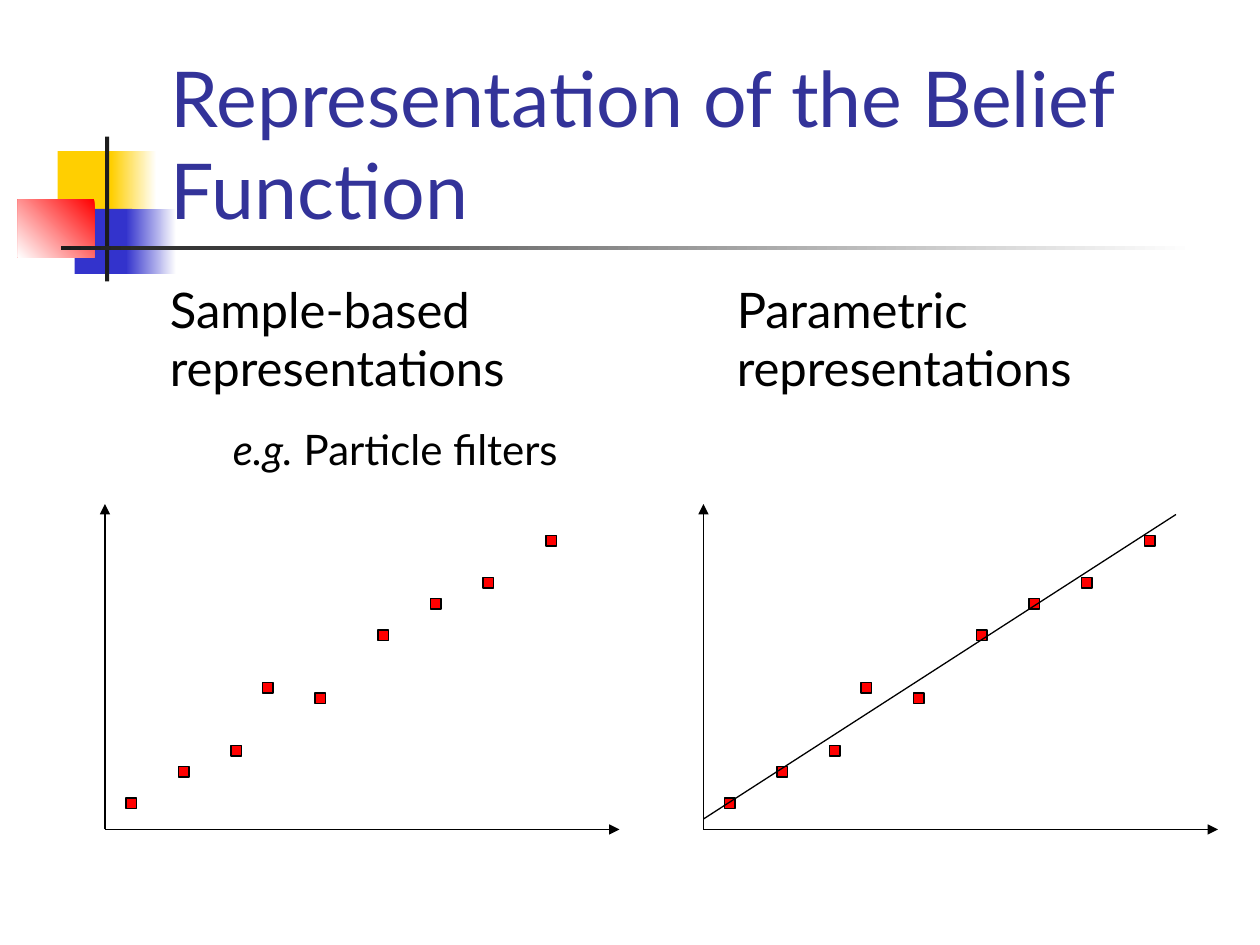
from lxml import etree
from pptx import Presentation
from pptx.dml.color import RGBColor
from pptx.enum.shapes import MSO_CONNECTOR, MSO_SHAPE
from pptx.enum.text import MSO_ANCHOR, MSO_AUTO_SIZE
from pptx.oxml.ns import qn
from pptx.util import Pt

PX = 7620  # 120 px to the inch
RECTANGLE = MSO_SHAPE.RECTANGLE
STRAIGHT = MSO_CONNECTOR.STRAIGHT
TOP, BOTTOM = MSO_ANCHOR.TOP, MSO_ANCHOR.BOTTOM
FIT_SHAPE, FIT_NONE = MSO_AUTO_SIZE.SHAPE_TO_FIT_TEXT, MSO_AUTO_SIZE.NONE
FONT = "Lato"
COLORS = {
    "white": "FFFFFF", "black": "000000", "ink": "1C1C1C", "title": "333399",
    "yellow": "FFCF01", "blue": "3333CC", "red": "FF0000",
}
SAMPLE_SIZE = 10
SAMPLES = [(20, 280), (70, 250), (120, 230), (150, 170), (200, 180),
           (260, 120), (310, 90), (360, 70), (420, 30)]


def rgb(name):
    return RGBColor.from_string(COLORS[name])


def emu(*lengths):
    return [length * PX for length in lengths]


def add_rectangle(shapes, box, colors, angle=180, outline=None):
    """One color gives a solid fill, two give a gradient."""
    shape = shapes.add_shape(RECTANGLE, *emu(*box))
    shape.shadow.inherit = False
    if len(colors) == 1:
        shape.fill.solid()
        shape.fill.fore_color.rgb = rgb(colors[0])
    else:
        shape.fill.gradient()
        shape.fill.gradient_angle = angle
        for stop, color in zip(shape.fill.gradient_stops, colors):
            stop.color.rgb = rgb(color)
    if outline:
        shape.line.color.rgb = rgb(outline)
        shape.line.width = Pt(0.75)
    else:
        shape.line.fill.background()


def add_line(shapes, start, end, arrow=False):
    connector = shapes.add_connector(STRAIGHT, *emu(*start, *end))
    connector.line.color.rgb = rgb("black")
    connector.line.width = Pt(0.75)
    if arrow:
        etree.SubElement(connector.line._get_or_add_ln(), qn("a:tailEnd"), type="triangle")
    etree.SubElement(connector._element.spPr, qn("a:effectLst"))


def add_text(slide, box, paragraphs, color="black", anchor=TOP, fit=FIT_SHAPE):
    """Each paragraph is (size, left indent, space before, [(text, italic), ...])."""
    frame = slide.shapes.add_textbox(*emu(*box)).text_frame
    frame_format = {"word_wrap": True, "auto_size": fit, "vertical_anchor": anchor}
    for name, value in frame_format.items():
        setattr(frame, name, value)
    for index, (size, indent, space, runs) in enumerate(paragraphs):
        paragraph = frame.add_paragraph() if index else frame.paragraphs[0]
        paragraph.space_before = Pt(space)
        paragraph._p.get_or_add_pPr().set("marL", str(indent * PX))
        for text, italic in runs:
            run = paragraph.add_run()
            run.text = text
            run_format = {"name": FONT, "size": Pt(size), "italic": italic}
            for name, value in run_format.items():
                setattr(run.font, name, value)
            run.font.color.rgb = rgb(color)


def add_ornament(slide, left, top):
    """Overlapping colored blocks crossed by two bars."""
    parts = [
        ((38, 14, 58, 62), ["yellow"], 180),
        ((89, 14, 43, 62), ["white", "yellow"], 180),
        ((54, 69, 55, 62), ["blue"], 180),
        ((103, 69, 48, 62), ["white", "blue"], 180),
        ((0, 60, 73, 55), ["red", "white"], 225),
        ((83, 0, 4, 138), ["ink"], 180),
        ((41, 104, 1080, 4), ["white", "ink"], 180),
    ]
    for (x, y, width, height), colors, angle in parts:
        add_rectangle(slide.shapes, (left + x, top + y, width, height), colors, angle)


def add_plot(shapes, left, top, width, height, trend=False):
    """Two axes with the samples, and the fitted line if asked for."""
    origin = (left, top + height)
    add_line(shapes, origin, (left, top), arrow=True)
    add_line(shapes, origin, (left + width, top + height), arrow=True)
    for x, y in SAMPLES:
        box = (left + x, top + y, SAMPLE_SIZE, SAMPLE_SIZE)
        add_rectangle(shapes, box, ["red"], outline="black")
    if trend:
        add_line(shapes, (left, top + 300), (left + 450, top + 10))


def main():
    presentation = Presentation()
    presentation.slide_width, presentation.slide_height = emu(1200, 900)
    slide = presentation.slides.add_slide(presentation.slide_layouts[6])

    # Header
    add_ornament(slide, 17, 130)
    title = [(44, 0, 0, [("Representation of the Belief Function", False)])]
    add_text(slide, (151, 80, 1022, 150), title, "title", BOTTOM, FIT_NONE)

    # Plots
    add_plot(slide.shapes, 100, 480, 490, 310)
    parametric_group = slide.shapes.add_group_shape()
    add_plot(parametric_group.shapes, 670, 480, 490, 310, trend=True)

    # Column headings
    add_text(slide, (690, 260, 350, 180),
             [(28, 0, 0, [("Parametric representations", False)])])
    add_text(slide, (150, 260, 440, 197),
             [(28, 0, 0, [("Sample-based representations", False)]),
              (24, 60, 15, [("e.g.", True), (" Particle filters", False)])])

    presentation.save("out.pptx")


if __name__ == "__main__":
    main()
